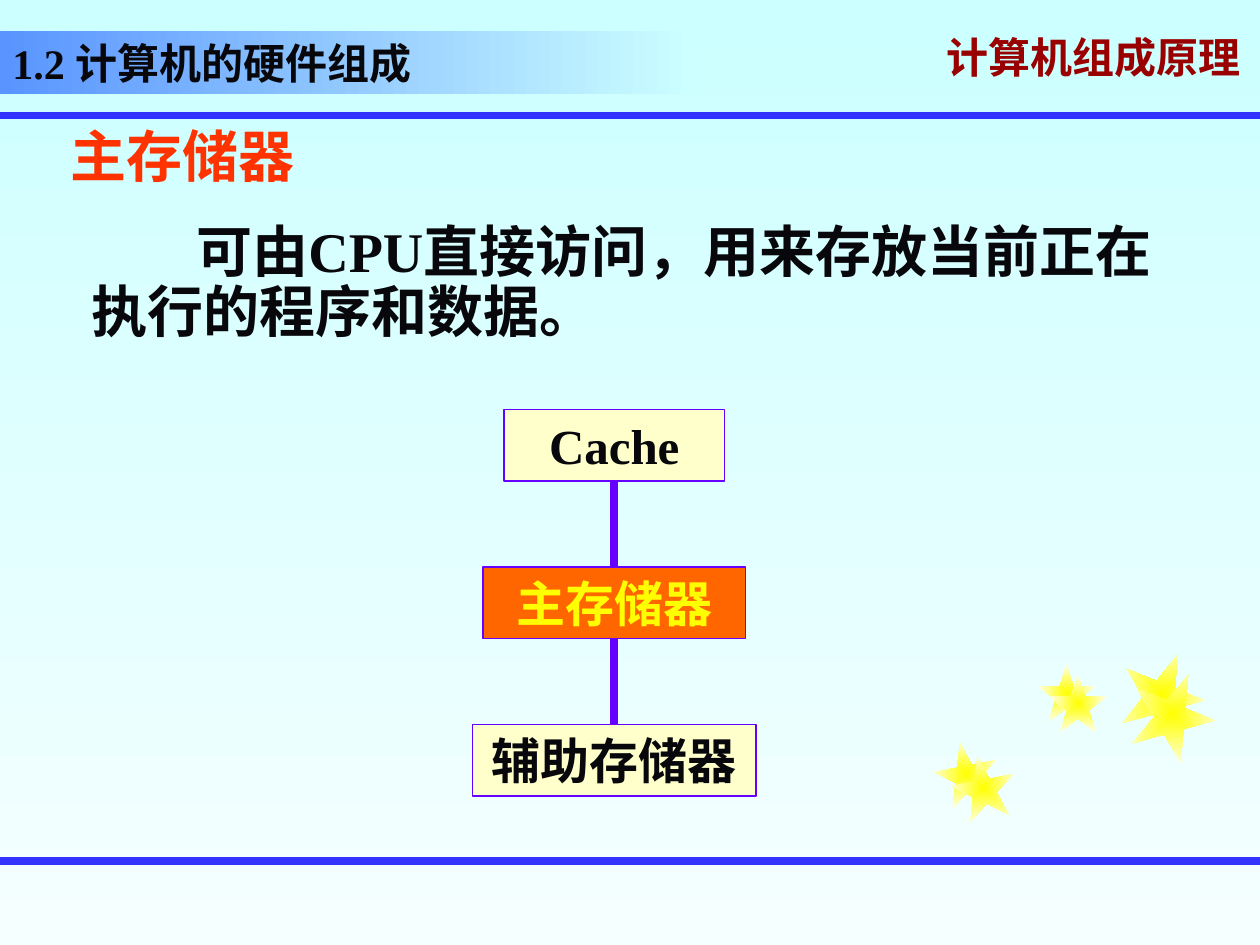
from lxml import etree
from pptx import Presentation
from pptx.dml.color import RGBColor
from pptx.enum import shapes, text
from pptx.oxml import ns
from pptx.util import Pt

COLORS = {
    "sky": "CCFFFF", "ice": "F5FFFF", "banner": "5994FF", "rule": "3333FF",
    "link": "6600FF", "cream": "FFFFCC", "orange": "FF6600", "yellow": "FFFF00",
    "pale": "FFFFE9", "ink": "08080C", "red": "FF3300", "maroon": "990000",
    "shade": "808080",
}
SERIF = "Times New Roman"
SANS = "Noto Sans CJK SC"


def rgb(name):
    return RGBColor.from_string(COLORS[name])


def add_xml(parent, tag, **attributes):
    return etree.SubElement(parent, ns.qn(tag), attributes)


class SlideBuilder:
    def __init__(self, slide):
        self.slide = slide

    def gradient(self, fill, start, end, angle=0):
        fill.gradient()
        fill.gradient_angle = angle
        for stop, color in zip(fill.gradient_stops, (start, end)):
            stop.color.rgb = rgb(color)

    def set_text(self, frame, lines, size, color, anchor, font=SERIF):
        frame.text = "\n".join(lines)
        frame.word_wrap = True
        frame.vertical_anchor = anchor
        for paragraph in frame.paragraphs:
            paragraph.alignment = text.PP_ALIGN.LEFT
            for run in paragraph.runs:
                run.font.name = font
                run.font.size = Pt(size)
                run.font.bold = True
                run.font.color.rgb = rgb(color)
        return frame.paragraphs

    def textbox(self, left, top, width, height, lines, size, color, anchor, font=SERIF):
        box = self.slide.shapes.add_textbox(Pt(left), Pt(top), Pt(width), Pt(height))
        return self.set_text(box.text_frame, lines, size, color, anchor, font)

    def shape(self, kind, left, top, width, height):
        shape = self.slide.shapes.add_shape(kind, Pt(left), Pt(top), Pt(width), Pt(height))
        shape.shadow.inherit = False
        shape.line.fill.background()
        return shape

    def banner(self, left, top, width, height, label):
        banner = self.shape(shapes.MSO_SHAPE.RECTANGLE, left, top, width, height)
        self.gradient(banner.fill, "banner", "sky")
        self.set_text(banner.text_frame, [label], 24, "ink", text.MSO_ANCHOR.BOTTOM)

    def box(self, center, top, width, height, label, fill, color):
        box = self.shape(shapes.MSO_SHAPE.RECTANGLE, center - width / 2, top, width, height)
        box.fill.solid()
        box.fill.fore_color.rgb = rgb(fill)
        box.line.color.rgb = rgb("link")
        box.line.width = Pt(1)
        label_line = self.set_text(box.text_frame, [label], 28, color, text.MSO_ANCHOR.TOP)[0]
        label_line.alignment = text.PP_ALIGN.CENTER
        return box

    def line(self, color, start=(0, 0), end=(0, 0)):
        line = self.slide.shapes.add_connector(
            shapes.MSO_CONNECTOR.STRAIGHT, *map(Pt, start + end))
        line.line.color.rgb = rgb(color)
        line.line.width = Pt(4.5)
        add_xml(line._element.spPr, "a:effectLst")
        return line

    def link(self, upper, lower):
        link = self.line("link")
        link.begin_connect(upper, 2)
        link.end_connect(lower, 0)

    def star(self, left, top, size, rotation):
        star = self.shape(shapes.MSO_SHAPE.STAR_5_POINT, left, top, size, size)
        star.rotation = rotation
        self.gradient(star.fill, "yellow", "pale")
        gradient = star._element.spPr.find(ns.qn("a:gradFill"))
        gradient.remove(gradient.find(ns.qn("a:lin")))
        glow = add_xml(gradient, "a:path", path="rect")
        add_xml(glow, "a:fillToRect", l="50000", t="50000", r="50000", b="50000")

    def course_name(self, left, top, width, height, label):
        line = self.textbox(left, top, width, height, [label], 24, "maroon",
                            text.MSO_ANCHOR.MIDDLE, SANS)[0]
        line.line_spacing = 0.7
        properties = line.runs[0]._r.get_or_add_rPr()
        effects = etree.Element(ns.qn("a:effectLst"))
        shadow = add_xml(effects, "a:outerShdw", dist="25400", dir="2700000")
        add_xml(shadow, "a:srgbClr", val=COLORS["shade"])
        properties.find(ns.qn("a:solidFill")).addnext(effects)
        add_xml(properties, "a:ea", typeface=SANS)

    def explanation(self, left, top, width, height, heading, body):
        heading_line, body_line = self.textbox(
            left, top, width, height, [heading, body], 32, "ink", text.MSO_ANCHOR.TOP)
        heading_line.runs[0].font.color.rgb = rgb("red")
        body_line.line_spacing = 0.9
        body_line.space_before = Pt(20)
        for line, margin, indent in ((heading_line, 15, 0), (body_line, 27, 60)):
            properties = line._p.get_or_add_pPr()
            properties.set("marL", str(Pt(margin)))
            properties.set("indent", str(Pt(indent)))


def main():
    deck = Presentation()
    deck.slide_width, deck.slide_height = Pt(720), Pt(540)
    builder = SlideBuilder(deck.slides.add_slide(deck.slide_layouts[6]))
    builder.gradient(builder.slide.background.fill, "sky", "ice", 270)

    builder.course_name(534, 18, 186, 36, "计算机组成原理")
    for height in (66, 492):
        builder.line("rule", (0, height), (720, height))

    star_sizes = ((36, 349), (33, 0), (48, 22))
    back_stars = ((534, 424), (593, 379.5), (640, 372.5))
    front_stars = ((544, 432), (599.5, 385.5), (646, 384))
    for corners in (back_stars, front_stars):
        for (left, top), (size, rotation) in zip(corners, star_sizes):
            builder.star(left, top, size, rotation)

    builder.banner(0, 18, 396, 36, "1.2 计算机的硬件组成")
    builder.explanation(18, 66, 660, 138, "主存储器",
                        "可由CPU直接访问，用来存放当前正在执行的程序和数据。")

    levels = (
        ("Cache", 126, "cream", "ink"),
        ("主存储器", 150, "orange", "yellow"),
        ("辅助存储器", 162, "cream", "ink"),
    )
    boxes = [
        builder.box(351, 234 + 90 * level, width, 41, label, fill, color)
        for level, (label, width, fill, color) in enumerate(levels)
    ]
    for upper, lower in zip(boxes, boxes[1:]):
        builder.link(upper, lower)

    deck.save("out.pptx")


if __name__ == "__main__":
    main()
